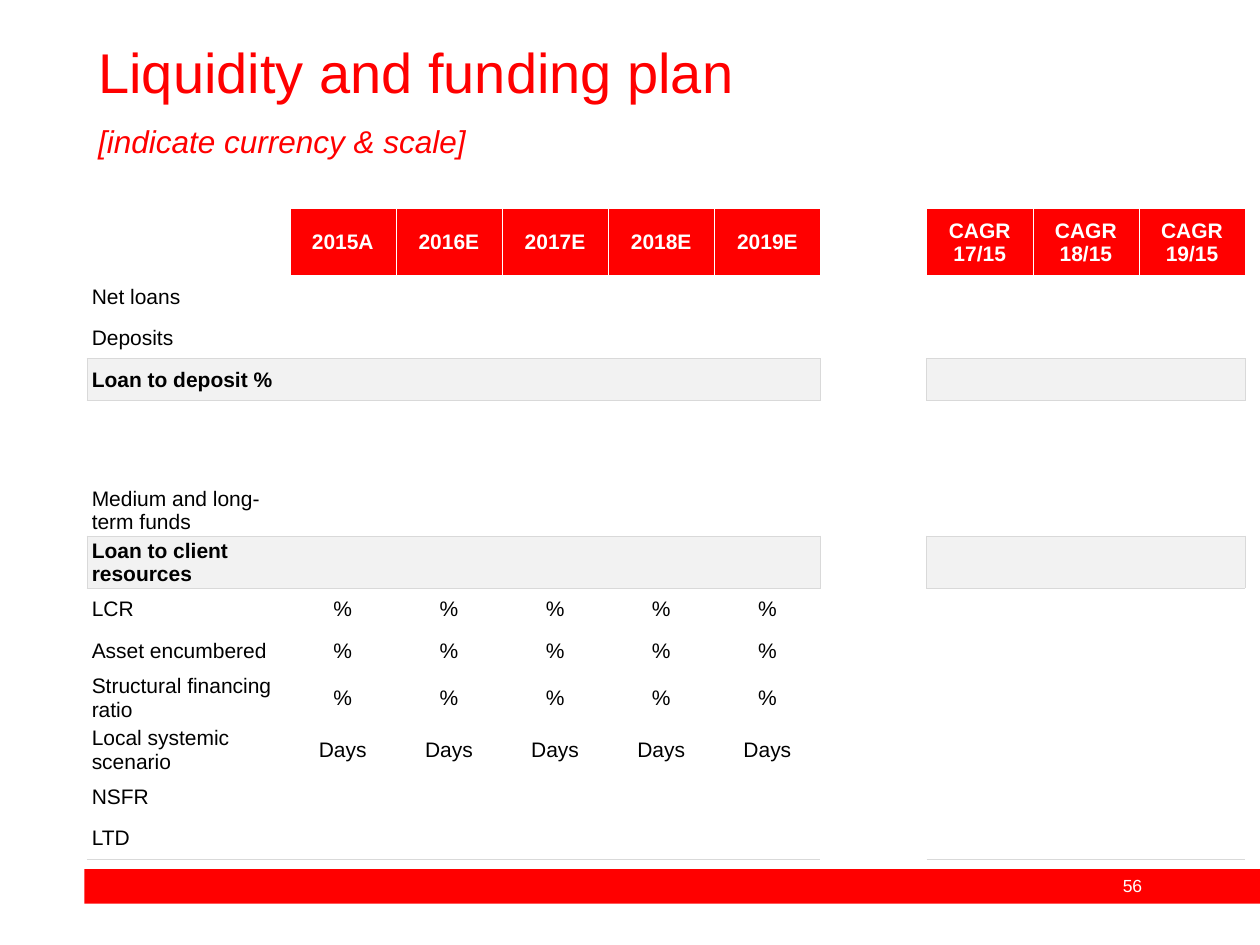
from pptx import Presentation
from pptx import util as u
from pptx.dml.color import RGBColor
from pptx.enum import shapes, text
from pptx.oxml.ns import qn
from lxml import etree

RED = RGBColor(0xFF, 0x00, 0x00)
WHITE = RGBColor(0xFF, 0xFF, 0xFF)
BLACK = RGBColor(0x00, 0x00, 0x00)
GREY = RGBColor(0xD9, 0xD9, 0xD9)
PALE = RGBColor(0xF2, 0xF2, 0xF2)


def style(para, size, color, bold=False, italic=False, align=text.PP_ALIGN.LEFT):
    para.alignment = align
    font = para.font
    font.name, font.size = "Arial", u.Pt(size)
    font.bold, font.italic = bold, italic
    font.color.rgb = color


def edge(cell, side, color):
    line = etree.SubElement(cell._tc.get_or_add_tcPr(), qn("a:ln" + side), w="3175")
    if color is None:
        etree.SubElement(line, qn("a:noFill"))
    else:
        fill = etree.SubElement(line, qn("a:solidFill"))
        etree.SubElement(fill, qn("a:srgbClr"), val=str(color))


deck = Presentation()
deck.slide_width, deck.slide_height = u.Cm(25.4), u.Cm(19.05)
slide = deck.slides.add_slide(deck.slide_layouts[5])

# Footer band and page number
band = slide.shapes.add_shape(shapes.MSO_SHAPE.RECTANGLE,
                              u.Cm(1.7), u.Cm(17.52), u.Cm(23.7), u.Cm(0.7))
band.shadow.inherit = False
band.fill.solid()
band.fill.fore_color.rgb = RED
band.line.fill.background()
page = slide.shapes.add_textbox(u.Cm(22.12), u.Cm(17.52), u.Cm(1.42), u.Cm(0.68))
page.text_frame.word_wrap = True
page.text_frame.text = "56"
style(page.text_frame.paragraphs[0], 10, WHITE, align=text.PP_ALIGN.CENTER)

# Title and subtitle
title = slide.shapes.title
title.left, title.top = u.Cm(1.73), u.Cm(0.79)
title.width, title.height = u.Cm(21.9), u.Cm(1.45)
sub = slide.shapes.add_textbox(u.Cm(1.73), u.Cm(2.36), u.Cm(21.9), u.Cm(1.04))
for box, words, size, italic in (
        (title, "Liquidity and funding plan", 32, False),
        (sub, "[indicate currency & scale]", 18, True)):
    frame = box.text_frame
    frame.text = words
    frame.word_wrap = True
    frame.auto_size = text.MSO_AUTO_SIZE.NONE
    frame.vertical_anchor = text.MSO_ANCHOR.MIDDLE
    para = frame.paragraphs[0]
    para.line_spacing = 0.9
    style(para, size, RED, italic=italic)

# Table content: label, then the unit shown under each year
years = ["2015A", "2016E", "2017E", "2018E", "2019E"]
growth = ["CAGR 17/15", "CAGR 18/15", "CAGR 19/15"]
body = [("Net loans", ""), ("Deposits", ""), ("Loan to deposit %", ""),
        ("", ""), ("", ""),
        ("Medium and long-term funds", ""), ("Loan to client resources", ""),
        ("LCR", "%"), ("Asset encumbered", "%"),
        ("Structural financing ratio", "%"), ("Local systemic scenario", "Days"),
        ("NSFR", ""), ("LTD", "")]
rows = [["", *years, "", *growth]]
rows += [[label] + [unit] * 5 + [""] * 4 for label, unit in body]
ratios = (3, 7)
tall = (6, 7, 10, 11)
gap = 6
last = len(rows) - 1

# Table grid
grid = slide.shapes.add_table(len(rows), 10, u.Cm(1.75), u.Cm(4.2),
                              u.Cm(23.35), u.Cm(13.11)).table
grid.first_row = grid.horz_banding = False
for c, col in enumerate(grid.columns):
    col.width = u.Cm(2.14 if c else 4.09)
for r, row in enumerate(grid.rows):
    row.height = u.Cm(1.35 if r == 0 else 1.05 if r in tall else 0.84)

# Table cells
for r, row in enumerate(rows):
    for c, words in enumerate(row):
        cell = grid.cell(r, c)
        head, ratio = r == 0, r in ratios
        cell.text = words
        cell.vertical_anchor = text.MSO_ANCHOR.MIDDLE
        cell.margin_left = u.Cm(0.03 if c else 0.1)
        cell.margin_right = cell.margin_top = u.Cm(0.03)
        cell.margin_bottom = 0
        style(cell.text_frame.paragraphs[0], 12, WHITE if head else BLACK,
              bold=head or ratio,
              align=text.PP_ALIGN.CENTER if c else text.PP_ALIGN.LEFT)

        # Grey lines frame the ratio rows and close the table
        ruled = {"L": ratio and c in (0, gap, gap + 1),
                 "R": ratio and c in (gap - 1, gap, 9),
                 "T": c != gap and (ratio or r - 1 in ratios),
                 "B": c != gap and (ratio or r + 1 in ratios or r == last)}
        for side, grey in ruled.items():
            white = head or (r == 1 and side == "T")
            edge(cell, side, GREY if grey else WHITE if white else None)

        if c != gap and (ratio or head and c):
            cell.fill.solid()
            cell.fill.fore_color.rgb = RED if head else PALE
        else:
            cell.fill.background()

deck.save("out.pptx")
